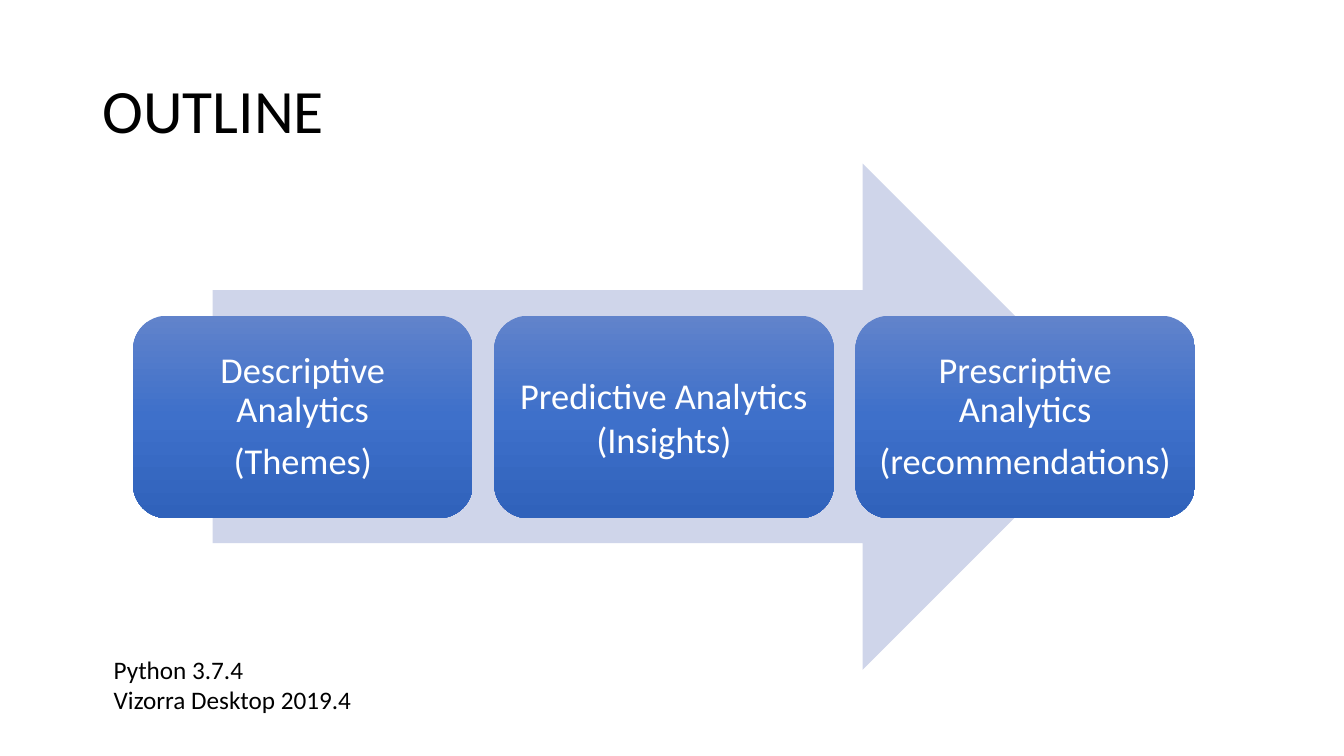
"""Build the outline slide: three analytics stages on a broad arrow."""
from copy import deepcopy
from dataclasses import dataclass

from pptx import Presentation
from pptx.dml.color import RGBColor
from pptx.enum.shapes import MSO_SHAPE
from pptx.enum.text import MSO_ANCHOR, PP_ALIGN
from pptx.shapes.autoshape import Shape
from pptx.slide import Slide
from pptx.text.text import TextFrame
from pptx.util import Pt

BLACK = RGBColor(0x00, 0x00, 0x00)
WHITE = RGBColor(0xFF, 0xFF, 0xFF)
ARROW_BLUE = RGBColor(0xCF, 0xD5, 0xEA)
CARD_STOPS = (
    (0.0, RGBColor(0x61, 0x83, 0xCB)),
    (0.5, RGBColor(0x3E, 0x70, 0xCA)),
    (1.0, RGBColor(0x30, 0x62, 0xBB)),
)
FONT = "Calibri"
CARD_LEFT, CARD_TOP = 95.04, 225.5
CARD_WIDTH, CARD_HEIGHT = 242.64, 144.6
CARD_PITCH = 258
CARD_INSET = 7.92


@dataclass(frozen=True)
class TextStyle:
    size: float
    color: RGBColor
    alignment: PP_ALIGN = PP_ALIGN.LEFT
    line_spacing: float = 1.0
    space_after: float = 0


@dataclass(frozen=True)
class Caption:
    left: float
    top: float
    width: float
    height: float
    lines: tuple[str, ...]
    style: TextStyle
    anchor: MSO_ANCHOR = MSO_ANCHOR.TOP


@dataclass(frozen=True)
class Stage:
    lines: tuple[str, ...]
    style: TextStyle


SPACED_STAGE = TextStyle(26, WHITE, PP_ALIGN.CENTER, 0.9, 9.1)
PLAIN_STAGE = TextStyle(26, WHITE, PP_ALIGN.CENTER)
STAGES = (
    Stage(("Descriptive Analytics", "(Themes)"), SPACED_STAGE),
    Stage(("Predictive Analytics", "(Insights)"), PLAIN_STAGE),
    Stage(("Prescriptive Analytics", "(recommendations)"), SPACED_STAGE),
)
TITLE = Caption(66.24, 28.8, 828, 104.4, ("OUTLINE",),
                TextStyle(44, BLACK, line_spacing=0.9), MSO_ANCHOR.MIDDLE)
TOOLS = Caption(74.16, 463.68, 239.76, 51.12,
                ("Python 3.7.4", "Vizorra Desktop 2019.4"), TextStyle(18, BLACK))


def write_lines(frame: TextFrame, lines: tuple[str, ...], style: TextStyle) -> None:
    """Fill a text frame with one styled paragraph per line."""
    frame.word_wrap = True
    frame.text = "\n".join(lines)
    for para in frame.paragraphs:
        para.alignment = style.alignment
        para.line_spacing = style.line_spacing
        para.space_after = Pt(style.space_after)
        para.font.name = FONT
        para.font.size = Pt(style.size)
        para.font.color.rgb = style.color


def add_caption(page: Slide, caption: Caption) -> None:
    """Add a text box."""
    box = page.shapes.add_textbox(Pt(caption.left), Pt(caption.top),
                                  Pt(caption.width), Pt(caption.height))
    box.text_frame.vertical_anchor = caption.anchor
    write_lines(box.text_frame, caption.lines, caption.style)


def add_block(page: Slide, preset: MSO_SHAPE, left: float, top: float,
              width: float, height: float) -> Shape:
    """Add a preset shape without outline or shadow."""
    block = page.shapes.add_shape(preset, Pt(left), Pt(top), Pt(width), Pt(height))
    block.shadow.inherit = False
    block.line.fill.background()
    return block


def shade_card(card: Shape) -> None:
    """Give a card its three-stop gradient from top to bottom."""
    card.fill.gradient()
    card.fill.gradient_angle = 270
    stop_list = card._element.spPr.gradFill.gsLst
    stop_list.append(deepcopy(stop_list[0]))
    for stop, (position, color) in zip(card.fill.gradient_stops, CARD_STOPS):
        stop.position = position
        stop.color.rgb = color


def add_stage(page: Slide, index: int, stage: Stage) -> None:
    """Add one stage card in its place along the arrow."""
    card = add_block(page, MSO_SHAPE.ROUNDED_RECTANGLE,
                     CARD_LEFT + index * CARD_PITCH, CARD_TOP, CARD_WIDTH, CARD_HEIGHT)
    shade_card(card)
    frame = card.text_frame
    frame.margin_left = frame.margin_right = Pt(CARD_INSET)
    frame.margin_top = frame.margin_bottom = Pt(CARD_INSET)
    frame.vertical_anchor = MSO_ANCHOR.MIDDLE
    write_lines(frame, stage.lines, stage.style)


def main() -> None:
    """Build and save the deck."""
    deck = Presentation()
    deck.slide_width, deck.slide_height = Pt(960), Pt(540)
    page = deck.slides.add_slide(deck.slide_layouts[6])
    add_caption(page, TITLE)
    arrow = add_block(page, MSO_SHAPE.RIGHT_ARROW, 151.92, 116.9, 645.12, 361.5)
    arrow.fill.solid()
    arrow.fill.fore_color.rgb = ARROW_BLUE
    for index, stage in enumerate(STAGES):
        add_stage(page, index, stage)
    add_caption(page, TOOLS)
    deck.save("out.pptx")


if __name__ == "__main__":
    main()
